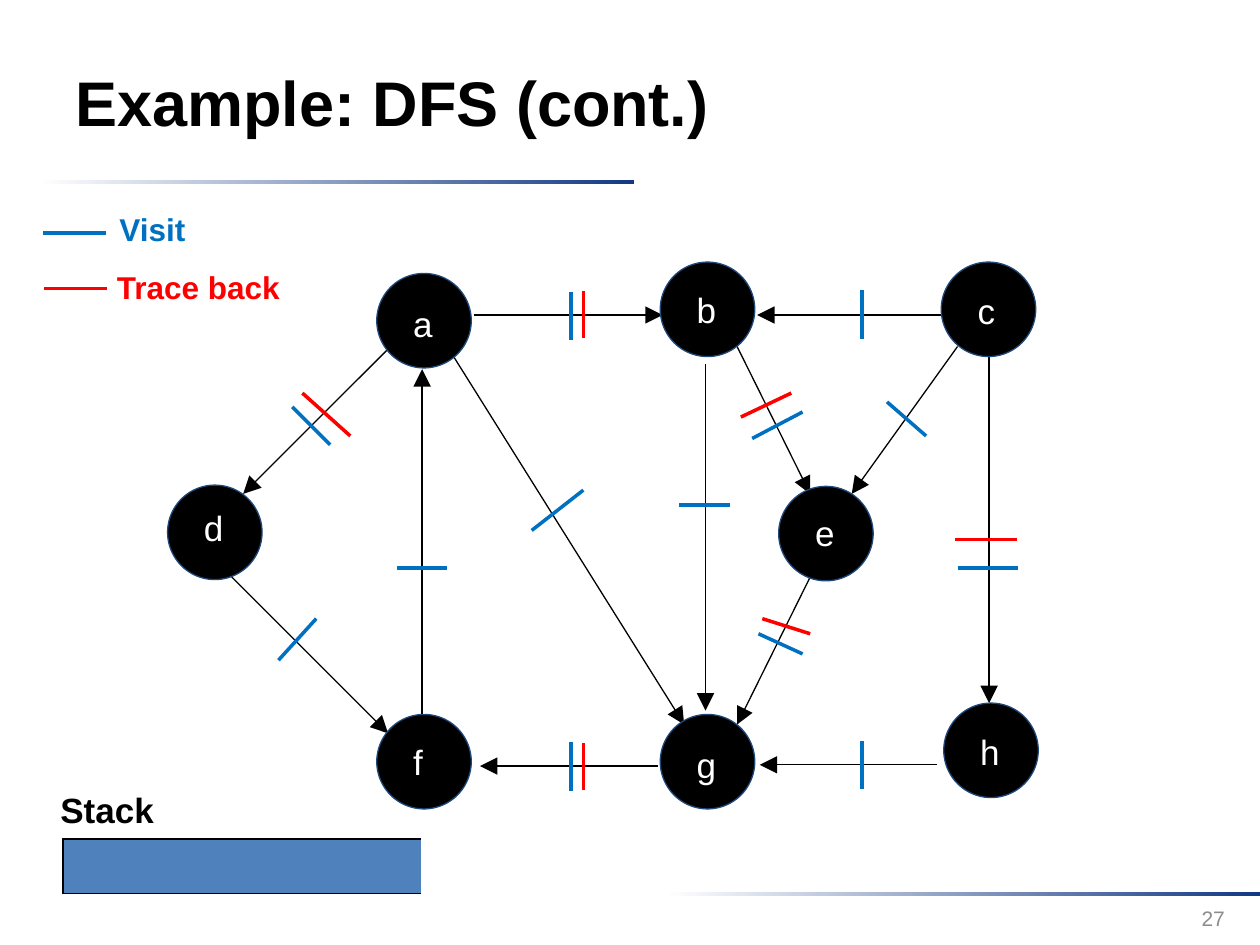
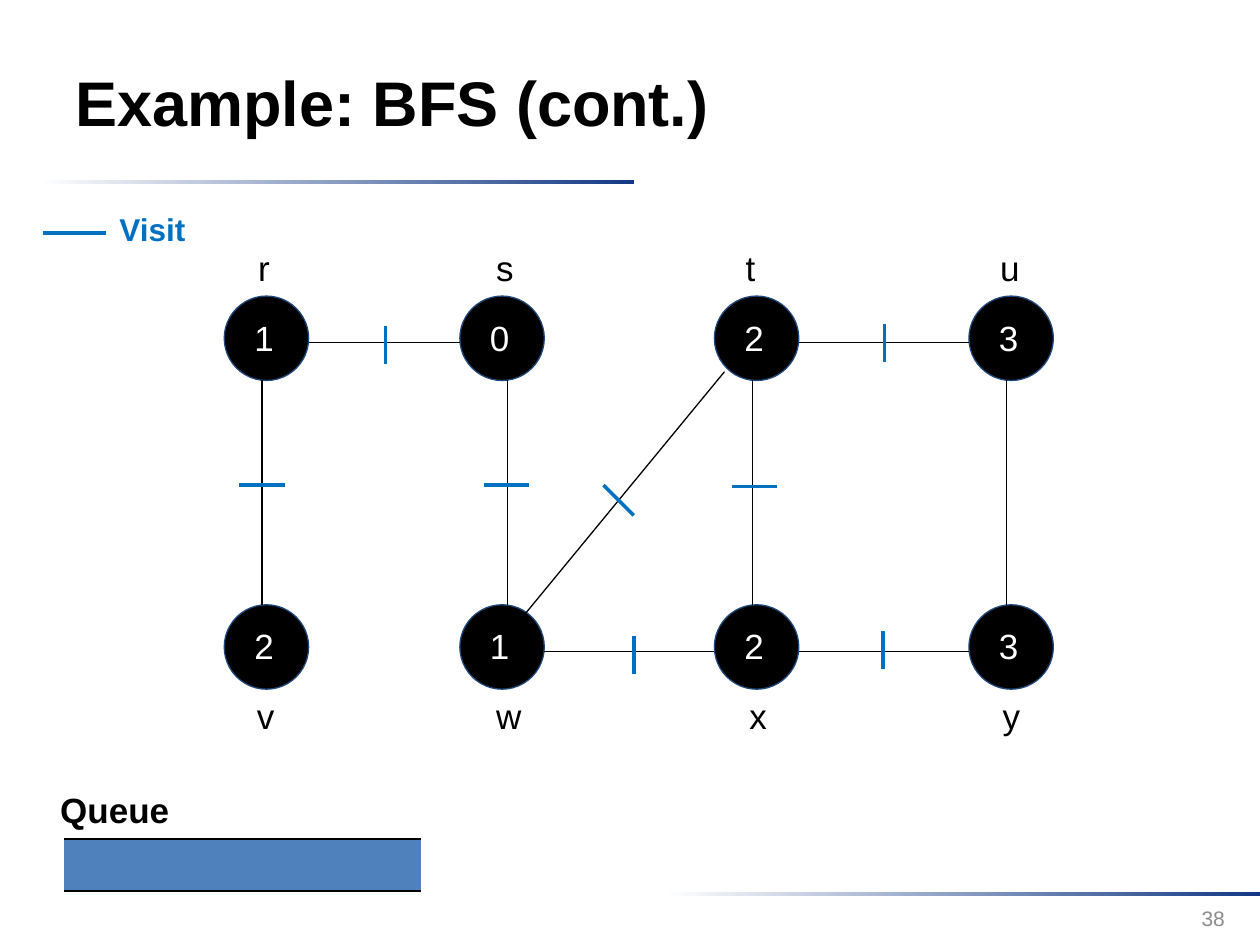
from lxml.etree import SubElement
from pptx import Presentation
from pptx.dml.color import RGBColor
from pptx.enum.shapes import MSO_CONNECTOR as Connector, MSO_SHAPE as Shape
from pptx.enum.text import MSO_ANCHOR as Anchor, PP_ALIGN as Align
from pptx.oxml.ns import qn
from pptx.util import Cm, Pt

BLACK = RGBColor(0x00, 0x00, 0x00)
WHITE = RGBColor(0xFF, 0xFF, 0xFF)
NAVY = RGBColor(0x13, 0x39, 0x84)
OUTLINE = RGBColor(0x1F, 0x49, 0x7D)
CELL = RGBColor(0x4F, 0x81, 0xBD)
VISIT = RGBColor(0x00, 0x70, 0xC0)
TRACE = RGBColor(0xFF, 0x00, 0x00)
GRAY = RGBColor(0x8C, 0x8C, 0x8C)
FONT = "Arial"
CM_PER_INCH = 2.54


def lengths(*inches):
    """Turn grid positions in inches into lengths."""
    return [Cm(CM_PER_INCH * value) for value in inches]


class GraphDeck:
    """Holds the shared style and the slide being drawn."""

    def __init__(self):
        self.presentation = Presentation()
        width, height = lengths(10, 7.5)
        self.presentation.slide_width = width
        self.presentation.slide_height = height
        self.slide = None

    def start_slide(self, title, number):
        self.slide = self.presentation.slides.add_slide(
            self.presentation.slide_layouts[6])
        for left, top in ((0.31, 1.43), (5.28, 7.08)):
            self.band(left, top)
        self.text(title, (0.5, 0.18, 7.73, 1.25), 36, bold=True, anchor=Anchor.MIDDLE)
        self.text(number, (7.49, 7.09, 2.33, 0.4), 12, GRAY,
                  anchor=Anchor.MIDDLE, align=Align.RIGHT)

    def band(self, left, top):
        band = self.slide.shapes.add_shape(
            Shape.RECTANGLE, *lengths(left, top, 4.72, 0.03))
        band.shadow.inherit = False
        band.line.fill.background()
        band.fill.gradient()
        band.fill.gradient_angle = 0
        for stop, color, position in zip(band.fill.gradient_stops, (WHITE, NAVY), (0, 1)):
            stop.color.rgb = color
            stop.position = position

    def text(self, words, box, size=20, color=BLACK, bold=False,
             anchor=Anchor.TOP, align=Align.LEFT, wrap=True):
        frame = self.slide.shapes.add_textbox(*lengths(*box)).text_frame
        frame.word_wrap = wrap
        frame.vertical_anchor = anchor
        paragraph = frame.paragraphs[0]
        paragraph.alignment = align
        run = paragraph.add_run()
        run.text = words
        run.font.name = FONT
        run.font.size = Pt(size)
        run.font.bold = bold
        run.font.color.rgb = color

    def line(self, points, color=BLACK, width=0.75, arrow=False):
        connector = self.slide.shapes.add_connector(Connector.STRAIGHT, *lengths(*points))
        connector.line.color.rgb = color
        connector.line.width = Pt(width)
        properties = connector._element.spPr
        if arrow:
            SubElement(properties.find(qn("a:ln")), qn("a:tailEnd"),
                       type="triangle", w="lg", len="lg")
        SubElement(properties, qn("a:effectLst"))

    def marks(self, color, segments):
        for points in segments:
            self.line(points, color, 2)

    def legend(self, words, color, line_left, line_y, text_box):
        self.text(words, text_box, 18, color, bold=True, wrap=False)
        self.marks(color, [(line_left, line_y, line_left + 0.5, line_y)])

    def visit_legend(self):
        self.legend("Visit", VISIT, 0.34, 1.85, (0.85, 1.62, 0.73, 0.4))

    def node(self, label, left, top, diameter, text_box):
        circle = self.slide.shapes.add_shape(
            Shape.OVAL, *lengths(left, top, diameter, diameter))
        circle.shadow.inherit = False
        circle.fill.solid()
        circle.fill.fore_color.rgb = BLACK
        circle.line.color.rgb = OUTLINE
        circle.line.width = Pt(0.75)
        self.text(label, text_box, color=WHITE)

    def storage(self, name, name_width, height, borders):
        """Draw the empty one-cell table with its name above it."""
        self.text(name, (0.38, 6.21, name_width, 0.44), bold=True, wrap=False)
        table = self.slide.shapes.add_table(1, 1, *lengths(0.5, 6.66, 2.85, height)).table
        table.first_row = False
        table.horz_banding = False
        cell = table.cell(0, 0)
        cell.fill.solid()
        cell.fill.fore_color.rgb = CELL
        properties = cell._tc.get_or_add_tcPr()
        for index, (side, color) in enumerate(borders):
            border = SubElement(properties, qn(f"a:ln{side}"), w=str(Pt(1)))
            fill = SubElement(border, qn("a:solidFill"))
            SubElement(fill, qn("a:srgbClr"), val=str(color))
            properties.insert(index, border)


def draw_depth_first(deck):
    deck.start_slide("Example: DFS (cont.)", "27")

    # Directed edges, each from its source to its target
    edges = [
        (3.35, 5.68, 3.35, 2.93),  # f to a
        (3.1, 2.75, 1.93, 3.92),   # a to d
        (1.83, 4.57, 3.08, 5.82),  # d to f
        (3.6, 2.83, 5.43, 5.75),   # a to g
        (5.22, 6.08, 3.81, 6.08),  # g to f
        (7.44, 6.07, 6.03, 6.07),  # h to g
        (3.76, 2.5, 5.26, 2.5),    # a to b
        (7.51, 2.5, 6.01, 2.5),    # c to b
        (7.85, 2.83, 7.85, 5.58),  # c to h
        (5.6, 2.89, 5.6, 5.64),    # b to g
        (5.85, 2.75, 6.43, 3.92),  # b to e
        (7.6, 2.75, 6.76, 3.92),   # c to e
        (6.43, 4.58, 5.85, 5.75),  # e to g
    ]
    for points in edges:
        deck.line(points, arrow=True)

    # Nodes: left, top, and the top of the letter
    nodes = {
        "a": (2.99, 2.17, 2.35), "b": (5.24, 2.08, 2.24),
        "c": (7.47, 2.08, 2.25), "d": (1.33, 3.85, 3.97),
        "e": (6.18, 3.86, 4.01), "f": (2.99, 5.67, 5.83),
        "g": (5.24, 5.67, 5.85), "h": (7.49, 5.58, 5.75),
    }
    for label, (left, top, text_top) in nodes.items():
        deck.node(label, left, top, 0.75, (left + 0.19, text_top, 0.42, 0.44))

    # Stack and legend
    deck.storage("Stack", 0.95, 0.43,
                 [("L", BLACK), ("R", WHITE), ("T", BLACK), ("B", BLACK)])
    deck.visit_legend()
    deck.legend("Trace back", TRACE, 0.35, 2.29, (0.83, 2.08, 1.52, 0.4))

    # Marks across the edges
    deck.marks(VISIT, [
        (4.53, 2.7, 4.53, 2.32), (5.97, 3.48, 6.37, 3.27),
        (6.02, 5.03, 6.37, 5.19), (4.53, 6.28, 4.53, 5.89),
        (3.15, 4.51, 3.55, 4.51), (5.39, 4.01, 5.79, 4.01),
        (2.32, 3.23, 2.62, 3.53), (2.21, 5.24, 2.51, 4.91),
        (4.22, 4.21, 4.63, 3.89), (6.84, 2.69, 6.84, 2.3),
        (7.35, 3.46, 7.04, 3.19), (7.6, 4.51, 8.08, 4.51),
        (6.84, 6.26, 6.84, 5.88),
    ])
    deck.marks(TRACE, [
        (4.63, 6.27, 4.63, 5.9), (6.43, 5.03, 6.05, 4.91),
        (6.28, 3.12, 5.88, 3.31), (4.63, 2.68, 4.63, 2.31),
        (2.78, 3.46, 2.4, 3.12), (8.07, 4.28, 7.58, 4.28),
    ])


def draw_breadth_first(deck):
    deck.start_slide("Example: BFS (cont.)", "38")
    deck.storage("Queue", 1.07, 0.41, [("R", WHITE), ("T", BLACK), ("B", BLACK)])
    deck.visit_legend()

    # Two rows of nodes holding distances, with names outside
    diameter = 0.67
    columns = (1.78, 3.65, 5.67, 7.69)
    upper, lower = 2.35, 4.8
    rows = [
        (upper, 1.91, "1023", "rstu", (1.95, 3.84, 5.82, 7.84)),
        (lower, 5.46, "2123", "vwxy", (1.94, 3.84, 5.85, 7.86)),
    ]
    for top, name_top, distances, names, name_lefts in rows:
        for left, distance, name, name_left in zip(columns, distances, names, name_lefts):
            deck.node(distance, left, top, diameter, (left + 0.14, top + 0.11, 0.37, 0.44))
            deck.text(name, (name_left, name_top, 0.3, 0.44))

    # Undirected edges: vertical, horizontal, then w to t
    for x in (2.08, 4.03, 5.97, 7.99):
        deck.line((x, upper + diameter, x, lower))
    for column, top in ((0, upper), (2, upper), (1, lower), (2, lower)):
        y = top + 0.37
        deck.line((columns[column] + diameter, y, columns[column + 1], y))
    deck.line((4.17, 4.87, 5.75, 2.95))

    # Visit marks across the edges
    deck.marks(VISIT, [(x, y, x + 0.36, y)
                       for x, y in ((1.9, 3.85), (3.84, 3.85), (5.81, 3.86))])
    deck.marks(VISIT, [(x, y, x, y + 0.3) for x, y in (
        (3.06, 2.59), (7.02, 2.57), (7.01, 5.01), (5.03, 5.05))])
    deck.marks(VISIT, [(4.79, 3.85, 5.03, 4.09)])


def main():
    deck = GraphDeck()
    draw_depth_first(deck)
    draw_breadth_first(deck)
    deck.presentation.save("out.pptx")


if __name__ == "__main__":
    main()
